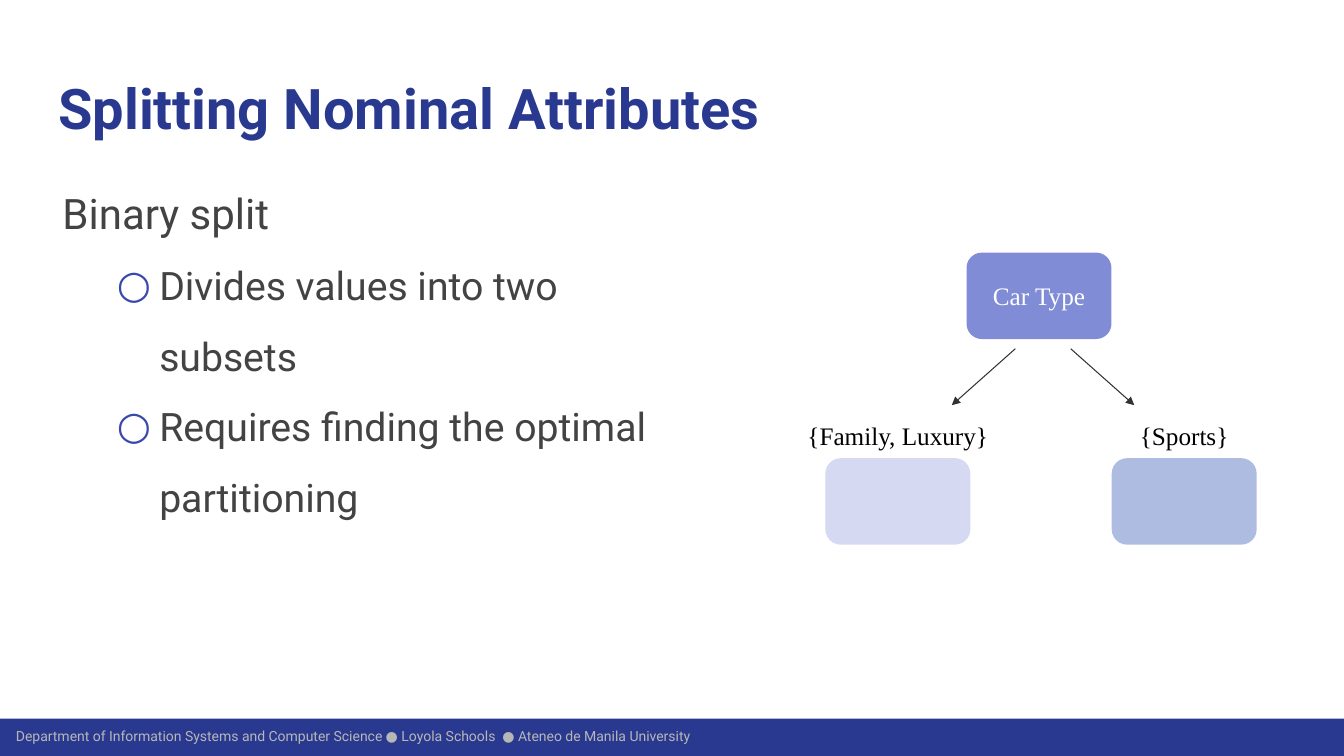
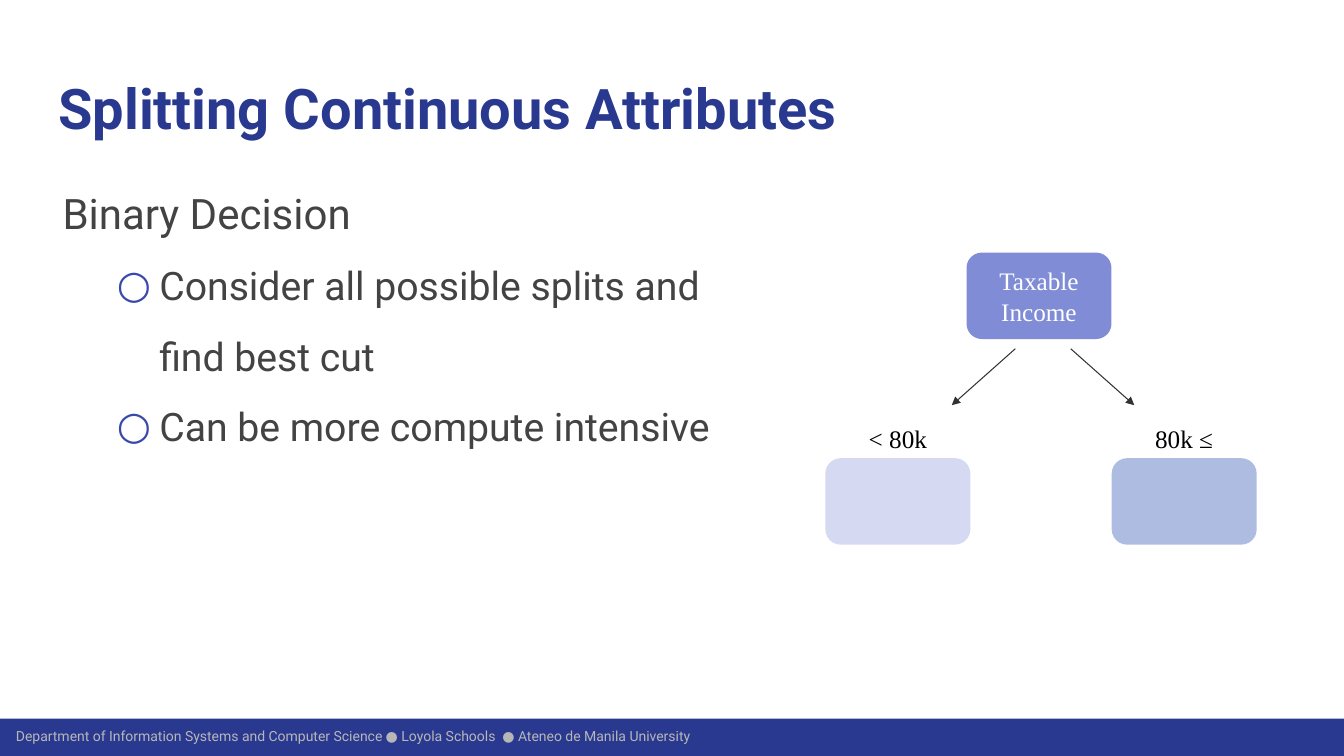
import pptx
import pptx.dml.color
import pptx.enum.shapes
import pptx.enum.text
import pptx.oxml
import pptx.oxml.ns
import pptx.util

Inches = pptx.util.Inches
Pt = pptx.util.Pt
RGBColor = pptx.dml.color.RGBColor
Shape = pptx.enum.shapes.MSO_SHAPE
Align = pptx.enum.text.PP_ALIGN
Anchor = pptx.enum.text.MSO_ANCHOR

NAVY = RGBColor(0x2A, 0x39, 0x90)
INDIGO = RGBColor(0x39, 0x49, 0xAB)
PERIWINKLE = RGBColor(0x80, 0x8C, 0xD5)
LAVENDER = RGBColor(0xD5, 0xD9, 0xF1)
STEEL = RGBColor(0xAE, 0xBC, 0xE1)
CHARCOAL = RGBColor(0x43, 0x43, 0x43)
ARROW = RGBColor(0x32, 0x32, 0x32)
SILVER = RGBColor(0xB7, 0xB7, 0xB7)
WHITE = RGBColor(0xFF, 0xFF, 0xFF)
BLACK = RGBColor(0, 0, 0)

SANS = "Roboto"
SERIF = "Times New Roman"
FOOTER = ("Department of Information Systems and Computer Science ● "
          "Loyola Schools  ● Ateneo de Manila University")

SLIDE_WIDTH, SLIDE_HEIGHT = 13.33, 7.5
BAND_HEIGHT = 0.37
NODE_WIDTH, NODE_HEIGHT = 1.41, 0.83
ROOT_LEFT, ROOT_TOP = 9.6, 2.52
LEAF_TOP = 4.56
LEAVES = ((8.2, LAVENDER), (11.04, STEEL))
LABEL_WIDTH, LABEL_HEIGHT = 2.2, 0.4
ARROW_TOP, ARROW_BOTTOM = 3.46, 4.02
ARROWS = ((10.07, 9.44), (10.62, 11.25))


def append_xml(parent, tag, attributes="", content=""):
    """Append a DrawingML element to the parent."""
    namespace = pptx.oxml.ns.nsdecls("a")
    parent.append(pptx.oxml.parse_xml(
        f"<a:{tag} {namespace} {attributes}>{content}</a:{tag}>"))


def write(para, text, *, size, color, font=SANS, bold=False,
          align=None, spacing=None):
    para.alignment = align
    if spacing:
        para.line_spacing = spacing
    span = para.add_run()
    span.text = text
    span.font.name = font
    span.font.size = Pt(size)
    span.font.bold = bold
    span.font.color.rgb = color


def indent(para, left, first=0.0, bullet=None):
    properties = para._p.get_or_add_pPr()
    properties.set("marL", str(Inches(left)))
    properties.set("indent", str(Inches(first)))
    if bullet:
        append_xml(properties, "buClr", content=f'<a:srgbClr val="{INDIGO}"/>')
        append_xml(properties, "buFont", f'typeface="{SANS}"')
        append_xml(properties, "buChar", f'char="{bullet}"')


class SplitDeck:
    """Slides that pair a bulleted explanation with a two-way split tree."""

    def __init__(self):
        self.deck = pptx.Presentation()
        self.deck.slide_width = Inches(SLIDE_WIDTH)
        self.deck.slide_height = Inches(SLIDE_HEIGHT)
        self.page = None

    def start_page(self, title):
        self.page = self.deck.slides.add_slide(self.deck.slide_layouts[6])
        self.shape(Shape.RECTANGLE, 0, SLIDE_HEIGHT - BAND_HEIGHT,
                   SLIDE_WIDTH, BAND_HEIGHT, NAVY)
        footer = self.text_frame(0.06, 7.18, 10, 0.24, margin=0.1)
        footer.vertical_anchor = Anchor.MIDDLE
        write(footer.paragraphs[0], FOOTER, size=10, color=SILVER)
        heading = self.text_frame(0.45, 0.6, 12.42, 0.89, margin=0.13)
        write(heading.paragraphs[0], title, size=40, color=NAVY, bold=True)

    def shape(self, kind, left, top, width, height, fill, line_width=None):
        shape = self.page.shapes.add_shape(
            kind, Inches(left), Inches(top), Inches(width), Inches(height))
        shape.shadow.inherit = False
        shape.fill.solid()
        shape.fill.fore_color.rgb = fill
        if line_width:
            shape.line.color.rgb = fill
            shape.line.width = Pt(line_width)
        else:
            shape.line.fill.background()
        return shape

    def text_frame(self, left, top, width, height, margin=None):
        box = self.page.shapes.add_textbox(
            Inches(left), Inches(top), Inches(width), Inches(height))
        frame = box.text_frame
        frame.word_wrap = True
        if margin is not None:
            frame.margin_left = frame.margin_right = Inches(margin)
            frame.margin_top = frame.margin_bottom = Inches(margin)
        return frame

    def body(self, lead, points, width):
        frame = self.text_frame(0.45, 1.48, width, 3.91, margin=0.13)
        para = frame.paragraphs[0]
        indent(para, 0.04)
        write(para, lead, size=30, color=CHARCOAL, spacing=1.5)
        for point in points:
            para = frame.add_paragraph()
            para.level = 1
            indent(para, 1, -0.42, bullet="○")
            write(para, point, size=28, color=CHARCOAL, spacing=1.5)

    def node(self, left, top, fill, text=None):
        node = self.shape(Shape.ROUNDED_RECTANGLE, left, top,
                          NODE_WIDTH, NODE_HEIGHT, fill, line_width=2)
        if text:
            node.text_frame.word_wrap = True
            node.text_frame.vertical_anchor = Anchor.MIDDLE
            write(node.text_frame.paragraphs[0], text, size=18, color=WHITE,
                  font=SERIF, align=Align.CENTER)

    def arrow(self, start_x, end_x):
        arrow = self.page.shapes.add_connector(
            pptx.enum.shapes.MSO_CONNECTOR.STRAIGHT,
            Inches(start_x), Inches(ARROW_TOP),
            Inches(end_x), Inches(ARROW_BOTTOM))
        arrow.line.color.rgb = ARROW
        arrow.line.width = Pt(0.75)
        append_xml(arrow.line._get_or_add_ln(), "tailEnd", 'type="triangle"')
        append_xml(arrow._element.spPr, "effectLst")

    def tree(self, root, labels, label_top):
        self.node(ROOT_LEFT, ROOT_TOP, PERIWINKLE, root)
        for (left, fill), label in zip(LEAVES, labels):
            self.node(left, LEAF_TOP, fill)
            label_left = left + (NODE_WIDTH - LABEL_WIDTH) / 2
            frame = self.text_frame(label_left, label_top,
                                    LABEL_WIDTH, LABEL_HEIGHT)
            write(frame.paragraphs[0], label, size=18, color=BLACK,
                  font=SERIF, align=Align.CENTER)
        for start_x, end_x in ARROWS:
            self.arrow(start_x, end_x)


def main():
    slides = SplitDeck()

    slides.start_page("Splitting Nominal Attributes")
    slides.body("Binary split",
                ["Divides values into two subsets",
                 "Requires finding the optimal partitioning"], width=6.3)
    slides.tree("Car Type", ["{Family, Luxury}", "{Sports}"], label_top=4.12)

    slides.start_page("Splitting Continuous Attributes")
    slides.body("Binary Decision",
                ["Consider all possible splits and find best cut",
                 "Can be more compute intensive"], width=7.08)
    slides.tree("Taxable Income", ["< 80k", "80k ≤"], label_top=4.15)

    slides.deck.save("out.pptx")


if __name__ == "__main__":
    main()
